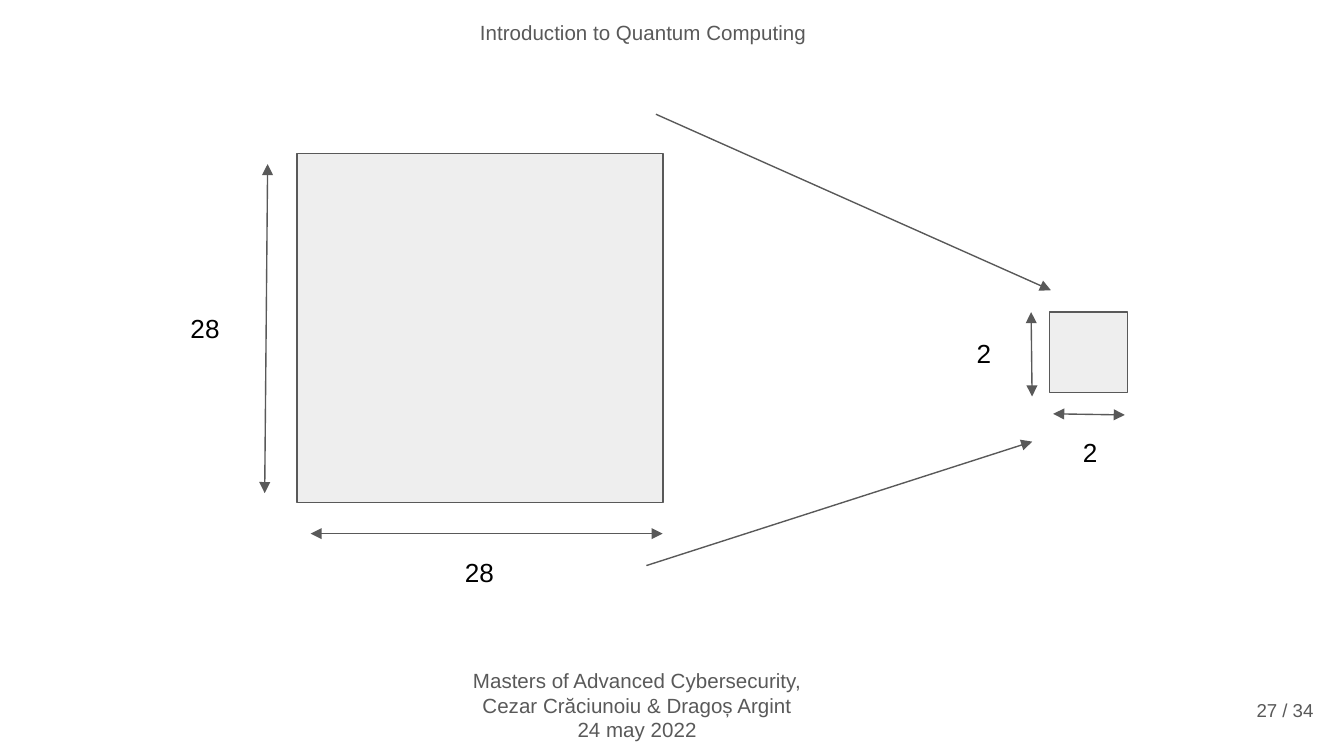
"""Build a slide showing a 28 by 28 grid reduced to 2 by 2."""
from dataclasses import dataclass

import lxml.etree
import pptx
import pptx.dml.color
import pptx.enum.shapes
import pptx.enum.text
import pptx.oxml.ns
import pptx.util

Pt = pptx.util.Pt
ALIGN = pptx.enum.text.PP_ALIGN
ANCHOR = pptx.enum.text.MSO_ANCHOR
COLOURS = {"paper": "FFFFFF", "square": "EEEEEE", "grey": "595959", "black": "000000"}
FONT = "Arial"
LINE_WIDTH = 0.75
INSET = 7.2


@dataclass(frozen=True)
class Square:
    left: float
    top: float
    width: float
    height: float


@dataclass(frozen=True)
class Arrow:
    start: tuple[float, float]
    end: tuple[float, float]
    double: bool = True


@dataclass(frozen=True)
class Label:
    text: str
    left: float
    top: float


SQUARES = [Square(159.2, 82.2, 196, 187.2), Square(562.4, 167.2, 41.6, 43.2)]
ARROWS = [
    Arrow((166.4, 285.9), (355, 285.9)),
    Arrow((141.8, 264.2), (143.4, 87.9)),
    Arrow((564.2, 221.7), (602.6, 222.3)),
    Arrow((552.9, 212.4), (552.4, 167.2)),
    Arrow((351.4, 61.2), (563, 155.5), double=False),
    Arrow((346.3, 303), (553, 236.6), double=False),
]
LABELS = [
    Label("28", 95, 160),
    Label("28", 242, 291),
    Label("2", 573.1, 226.8),
    Label("2", 516.2, 173.5),
]


def rgb(name: str) -> pptx.dml.color.RGBColor:
    """Return a named colour."""
    return pptx.dml.color.RGBColor.from_string(COLOURS[name])


def add_text(page, paragraphs: list[str], left: float, top: float, width: float,
             height: float, *, size: float, colour: str = "grey",
             align=ALIGN.LEFT, anchor=ANCHOR.TOP) -> None:
    """Add a text box with one format for all its paragraphs."""
    box = page.shapes.add_textbox(Pt(left), Pt(top), Pt(width), Pt(height))
    frame = box.text_frame
    frame.word_wrap = True
    frame.vertical_anchor = anchor
    frame.margin_left = frame.margin_right = Pt(INSET)
    frame.margin_top = frame.margin_bottom = Pt(INSET)
    for index, text in enumerate(paragraphs):
        para = frame.add_paragraph() if index else frame.paragraphs[0]
        para.text = text
        para.alignment = align
        for span in para.runs:
            span.font.name = FONT
            span.font.size = Pt(size)
            span.font.color.rgb = rgb(colour)


def add_square(page, square: Square) -> None:
    """Draw one outlined square."""
    shape = page.shapes.add_shape(
        pptx.enum.shapes.MSO_SHAPE.RECTANGLE,
        Pt(square.left), Pt(square.top), Pt(square.width), Pt(square.height))
    shape.shadow.inherit = False
    shape.fill.solid()
    shape.fill.fore_color.rgb = rgb("square")
    shape.line.color.rgb = rgb("grey")
    shape.line.width = Pt(LINE_WIDTH)


def add_arrow(page, arrow: Arrow) -> None:
    """Draw a straight arrow with one or two heads."""
    connector = page.shapes.add_connector(
        pptx.enum.shapes.MSO_CONNECTOR.STRAIGHT,
        *map(Pt, arrow.start), *map(Pt, arrow.end))
    connector.line.color.rgb = rgb("grey")
    connector.line.width = Pt(LINE_WIDTH)
    outline = connector.line._get_or_add_ln()
    for tag in ("a:headEnd", "a:tailEnd") if arrow.double else ("a:tailEnd",):
        lxml.etree.SubElement(outline, pptx.oxml.ns.qn(tag),
                              type="triangle", w="med", len="med")
    lxml.etree.SubElement(connector._element.spPr, pptx.oxml.ns.qn("a:effectLst"))


def main() -> None:
    """Build and save the deck."""
    deck = pptx.Presentation()
    deck.slide_width, deck.slide_height = Pt(720), Pt(405)
    page = deck.slides.add_slide(deck.slide_layouts[6])
    page.background.fill.solid()
    page.background.fill.fore_color.rgb = rgb("paper")

    add_text(page, ["Introduction to Quantum Computing"],
             236.2, 4.3, 216.7, 28.1, size=11, align=ALIGN.CENTER)
    add_text(page, ["Masters of Advanced Cybersecurity,\nCezar Crăciunoiu & Dragoș Argint",
                    "24 may 2022"],
             244.8, 350.6, 193, 54.4, size=11, align=ALIGN.CENTER)
    for square in SQUARES:
        add_square(page, square)
    for arrow in ARROWS:
        add_arrow(page, arrow)
    for label in LABELS:
        add_text(page, [label.text], label.left, label.top, 31, 31.7,
                 size=14, colour="black")
    add_text(page, ["27 / 34"], 658.1, 365, 52.6, 31, size=10,
             align=ALIGN.RIGHT, anchor=ANCHOR.MIDDLE)
    deck.save("out.pptx")


if __name__ == "__main__":
    main()
